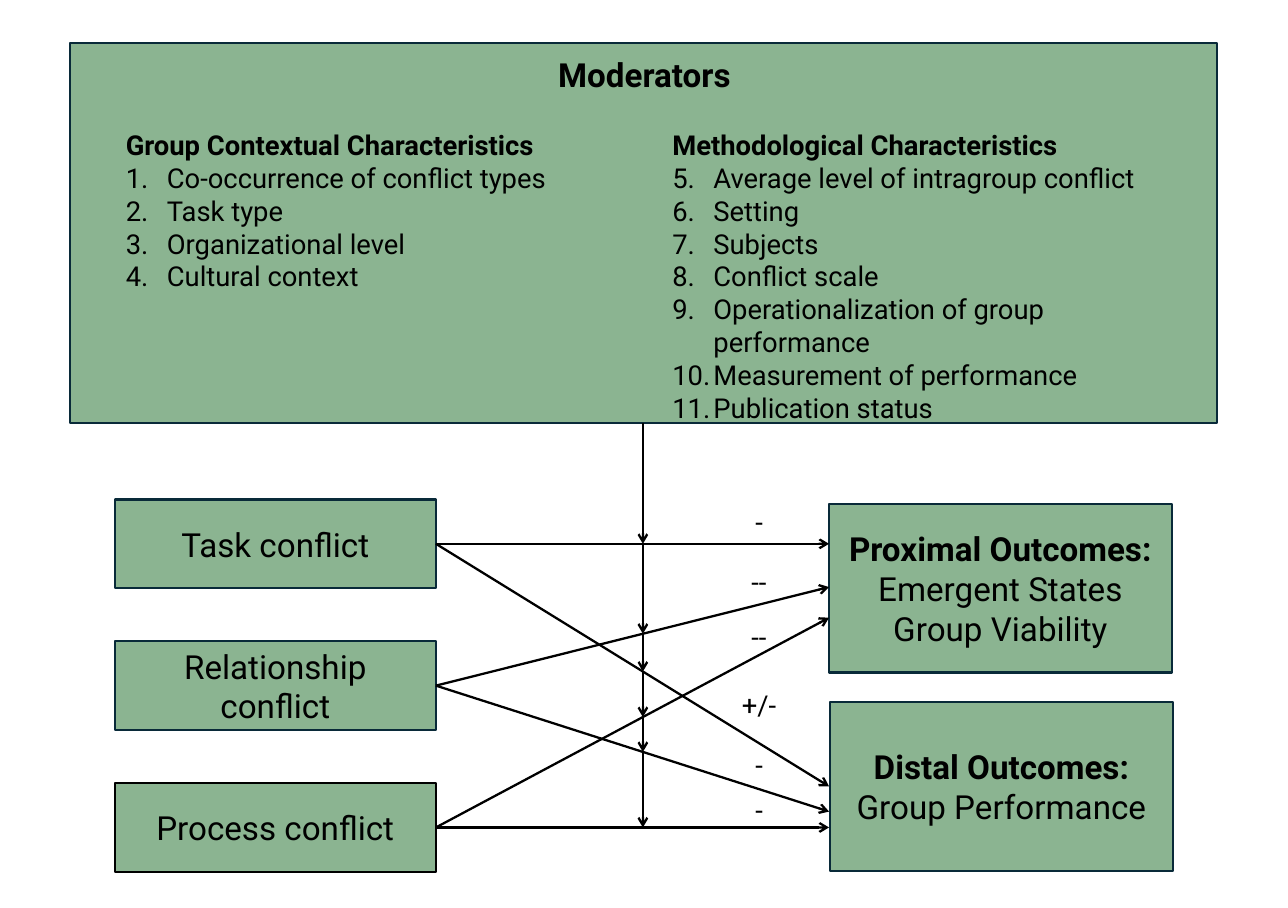
from dataclasses import dataclass

from lxml.etree import SubElement as Sub
from pptx import Presentation
from pptx.dml.color import RGBColor as Rgb
from pptx.enum.shapes import MSO_CONNECTOR as Conn, MSO_SHAPE as Form
from pptx.enum.text import MSO_ANCHOR as Anchor, MSO_AUTO_SIZE as Fit, PP_ALIGN as Align
from pptx.oxml.ns import qn
from pptx.slide import Slide
from pptx.text.text import TextFrame
from pptx.util import Inches, Pt

COLS, ROWS = 117.6, 82.9
GREEN = Rgb(0x19, 0x6B, 0x24)
NAVY = Rgb(0x09, 0x2A, 0x39)
BLACK = Rgb(0, 0, 0)
FONT, LARGE, SMALL = "Roboto", 21.8, 18
LEFT, RIGHT, AXIS, SIGN = 39.8, 75.7, 58.7, 69.3
TOP, STEP, TALL = 45.6, 12.95, 8.1


@dataclass
class Box:
    left: float
    top: float
    width: float
    height: float
    lines: tuple[str, ...] = ()
    edge: Rgb = NAVY
    start: int = 1


@dataclass
class Path:
    cause: int
    end: float
    sign: str
    top: float

    @property
    def begin(self) -> float:
        return TOP + TALL / 2 + self.cause * STEP

    @property
    def cross(self) -> float:
        share = (AXIS - LEFT) / (RIGHT - LEFT)
        return self.begin + share * (self.end - self.begin)


PANEL = Box(6.4, 3.9, 104.7, 34.7)
HEAD = Box(48, 4.5, 21.7, 4.7, ("Moderators",))
LISTS = (
    Box(10.5, 11.2, 41.9, 16.2, (
        "Group Contextual Characteristics", "Co-occurrence of conflict types",
        "Task type", "Organizational level", "Cultural context")),
    Box(60.4, 11.2, 49.9, 25.2, (
        "Methodological Characteristics", "Average level of intragroup conflict",
        "Setting", "Subjects", "Conflict scale",
        "Operationalization of group performance",
        "Measurement of performance", "Publication status"), start=5),
)
CAUSES = (("Task conflict", NAVY), ("Relationship conflict", NAVY),
          ("Process conflict", BLACK))
GOALS = (
    Box(75.7, 46, 31.3, 15.4,
        ("Proximal Outcomes:", "Emergent States", "Group Viability")),
    Box(75.8, 64.1, 31.3, 15.4, ("Distal Outcomes:", "Group Performance")),
)
PATHS = (
    Path(0, 49.65, "-", 45.6),
    Path(2, 75.55, "-", 71.9),
    Path(0, 71.8, "+/-", 62.3),
    Path(1, 74.1, "-", 67.8),
    Path(2, 56.4, "--", 56.1),
    Path(1, 53.6, "--", 51.1),
)


def cell(count: float) -> int:
    """Convert grid cells to a length."""
    return Inches(count / 10)


def area(box: Box) -> tuple[int, int, int, int]:
    """Return the place and size of a box."""
    return cell(box.left), cell(box.top), cell(box.width), cell(box.height)


def write(frame: TextFrame, lines: tuple[str, ...], size: float,
          bold: bool = False, align: Align = Align.CENTER) -> None:
    """Fill a frame with lines, the first one optionally bold."""
    frame.text = "\n".join(lines)
    frame.word_wrap = True
    for rank, para in enumerate(frame.paragraphs):
        para.alignment = align
        for run in para.runs:
            font = run.font
            font.name, font.size = FONT, Pt(size)
            font.bold = bold and rank == 0
            font.color.rgb = BLACK


def block(slide: Slide, box: Box) -> None:
    """Draw a half-clear green box with its lines."""
    shape = slide.shapes.add_shape(Form.RECTANGLE, *area(box))
    shape.shadow.inherit = False
    shape.fill.solid()
    shape.fill.fore_color.rgb = GREEN
    tint = next(shape.element.iter(qn("a:srgbClr")))
    Sub(tint, qn("a:alpha"), val="50000")
    shape.line.color.rgb = box.edge
    shape.line.width = Pt(1.5)
    if box.lines:
        shape.text_frame.vertical_anchor = Anchor.MIDDLE
        write(shape.text_frame, box.lines, LARGE, len(box.lines) > 1)


def title(slide: Slide, box: Box) -> None:
    """Place the title above the panel."""
    shape = slide.shapes.title
    shape.left, shape.top, shape.width, shape.height = area(box)
    write(shape.text_frame, box.lines, LARGE, True)
    shape.text_frame.auto_size = Fit.NONE
    shape.text_frame.vertical_anchor = Anchor.TOP
    shape.element.getparent().append(shape.element)


def roster(slide: Slide, box: Box) -> None:
    """Draw a bold heading and a numbered list."""
    frame = slide.shapes.add_textbox(*area(box)).text_frame
    write(frame, box.lines, SMALL, True, Align.LEFT)
    for para in frame.paragraphs[1:]:
        props = para._p.get_or_add_pPr()
        props.set("marL", str(Inches(0.375)))
        props.set("indent", str(-Inches(0.375)))
        Sub(props, qn("a:buAutoNum"), type="arabicPeriod", startAt=str(box.start))


def arrow(slide: Slide, left: float, top: float, right: float, low: float) -> None:
    """Draw a black arrow between two grid points."""
    line = slide.shapes.add_connector(
        Conn.STRAIGHT, cell(left), cell(top), cell(right), cell(low))
    line.line.color.rgb = BLACK
    line.line.width = Pt(1.5)
    Sub(line.get_or_add_ln(), qn("a:tailEnd"), type="arrow")
    Sub(line.element.spPr, qn("a:effectLst"))


def mark(slide: Slide, path: Path) -> None:
    """Write the sign of a path."""
    width = 0.9 + 1.75 * len(path.sign)
    box = Box(SIGN - width / 2, path.top, width, 4)
    frame = slide.shapes.add_textbox(*area(box)).text_frame
    write(frame, (path.sign,), SMALL)
    frame.word_wrap = False


def main() -> None:
    """Build and save the slide."""
    deck = Presentation()
    deck.slide_width, deck.slide_height = cell(COLS), cell(ROWS)
    slide = deck.slides.add_slide(deck.slide_layouts.get_by_name("Title Only"))
    block(slide, PANEL)
    title(slide, HEAD)
    for box in LISTS:
        roster(slide, box)
    for rank, (name, edge) in enumerate(CAUSES):
        block(slide, Box(10.5, TOP + rank * STEP, 29.3, TALL, (name,), edge))
    for box in GOALS:
        block(slide, box)
    for path in PATHS:
        arrow(slide, LEFT, path.begin, RIGHT, path.end)
    stops = [PANEL.top + PANEL.height, *sorted(path.cross for path in PATHS)]
    for top, low in zip(stops, stops[1:]):
        arrow(slide, AXIS, top, AXIS, low)
    for path in PATHS:
        mark(slide, path)
    deck.save("out.pptx")


if __name__ == "__main__":
    main()
